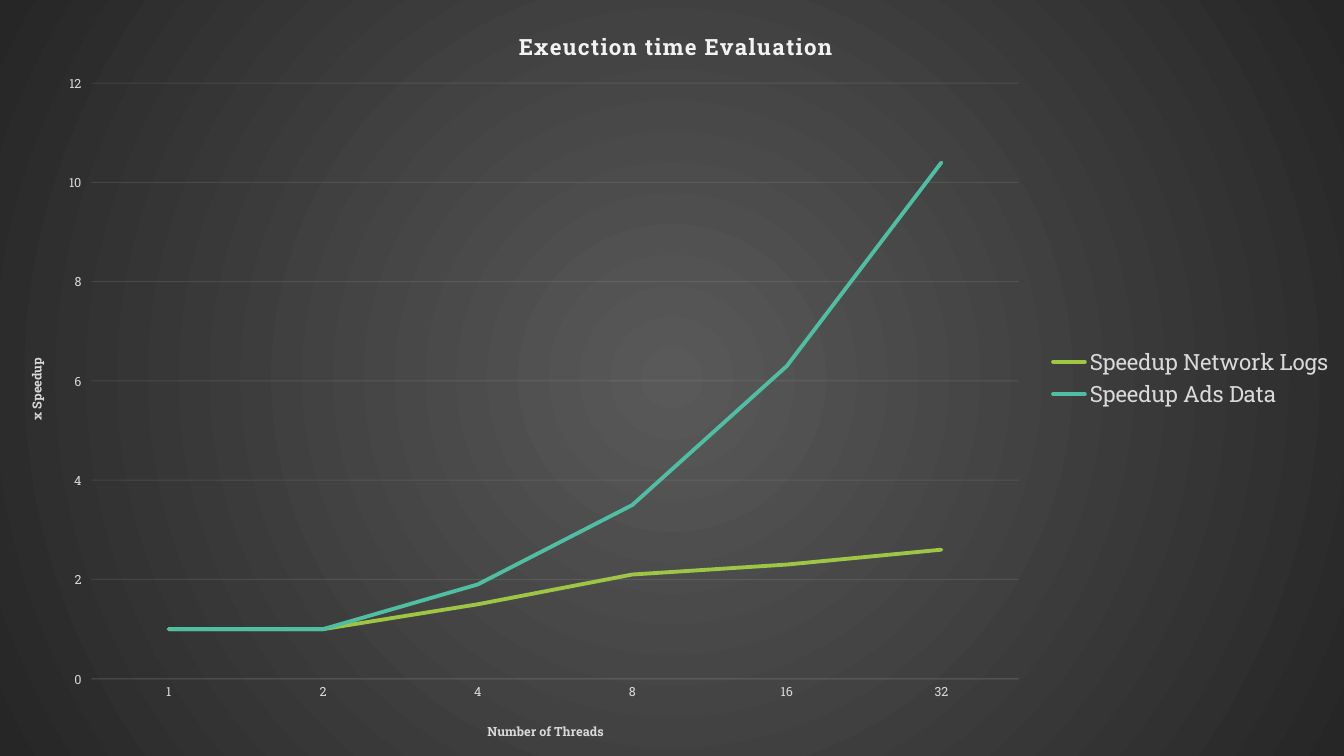
import pptx
import pptx.chart.data
import pptx.dml.color
import pptx.enum.chart
import pptx.oxml
import pptx.oxml.ns
import pptx.util
from pptx.util import Inches

qn = pptx.oxml.ns.qn
rgb = pptx.dml.color.RGBColor.from_string
FONT = "Roboto Slab"
WIDTH, HEIGHT = Inches(13.33), Inches(7.5)


def style_font(font, size, color, bold=False):
    font.name, font.size, font.bold = FONT, pptx.util.Pt(size), bold
    font.color.rgb = rgb(color)


def place(element, **fractions):
    """Fix a chart part at fractions of the chart's width and height."""
    for layout in element.findall(qn("c:layout")):
        element.remove(layout)
    target = '<c:layoutTarget val="inner"/>' if element.tag == qn("c:plotArea") else ""
    modes = '<c:xMode val="edge"/><c:yMode val="edge"/>'
    values = "".join(f'<c:{key} val="{value}"/>' for key, value in fractions.items())
    layout = pptx.oxml.parse_xml(
        f'<c:layout {pptx.oxml.ns.nsdecls("c")}><c:manualLayout>'
        f"{target}{modes}{values}</c:manualLayout></c:layout>")
    overlay = element.find(qn("c:overlay"))
    element.insert(0 if overlay is None else element.index(overlay), layout)


deck = pptx.Presentation()
deck.slide_width, deck.slide_height = WIDTH, HEIGHT
page = deck.slides.add_slide(deck.slide_layouts[6])
page.background.fill.solid()
page.background.fill.fore_color.rgb = rgb("000000")

# Chart data
data = pptx.chart.data.CategoryChartData()
data.categories = ["1", "2", "4", "8", "16", "32"]
data.add_series("Speedup Network Logs", [1, 1, 1.5, 2.1, 2.3, 2.6])
data.add_series("Speedup Ads Data", [1, 1, 1.9, 3.5, 6.3, 10.4])
chart = page.shapes.add_chart(
    pptx.enum.chart.XL_CHART_TYPE.LINE, 0, 0, WIDTH, HEIGHT, data).chart
style_font(chart.font, 10, "FFFFFF")
place(chart.plots[0]._element.getparent(), x=0.068, y=0.11, w=0.69, h=0.788)

# Radial background
chart_space = chart._chartSpace
chart_space.find(qn("c:txPr")).addprevious(pptx.oxml.parse_xml(
    f'<c:spPr {pptx.oxml.ns.nsdecls("c", "a")}><a:gradFill><a:gsLst>'
    '<a:gs pos="0"><a:srgbClr val="595959"/></a:gs>'
    '<a:gs pos="100000"><a:srgbClr val="262626"/></a:gs></a:gsLst>'
    '<a:path path="circle"><a:fillToRect l="50000" t="50000" r="50000" b="50000"/>'
    "</a:path></a:gradFill><a:ln><a:noFill/></a:ln></c:spPr>"))

# Series lines
for series, color in zip(chart.plots[0].series, ["9EC544", "50BEA3"]):
    series.smooth = False
    series.marker.style = pptx.enum.chart.XL_MARKER_STYLE.NONE
    series.format.line.width = pptx.util.Pt(2.75)
    series.format.line.color.rgb = rgb(color)
    series.format.line._ln.set("cap", "rnd")

# Axes
threads, speedup = chart.category_axis, chart.value_axis
speedup.minimum_scale, speedup.maximum_scale, speedup.major_unit = 0, 12, 2
speedup.has_major_gridlines = True
for axis in (threads, speedup):
    axis.major_tick_mark = pptx.enum.chart.XL_TICK_MARK.NONE
    style_font(axis.tick_labels.font, 9, "D9D9D9")
speedup.major_tick_mark = pptx.enum.chart.XL_TICK_MARK.OUTSIDE
speedup.format.line.fill.background()
for line in (threads.format.line, speedup.major_gridlines.format.line):
    line.width = pptx.util.Pt(0.75)
    line.color.rgb = rgb("F2F2F2")
    alpha = line._ln.find(".//" + qn("a:srgbClr")).makeelement(qn("a:alpha"), {"val": "10000"})
    line._ln.find(".//" + qn("a:srgbClr")).append(alpha)

# Titles
chart.has_title = True
for title, text, size, color, x, y in [
    (chart.chart_title, "Exeuction time Evaluation", 16, "F2F2F2", 0.383, 0.034),
    (threads.axis_title, "Number of Threads", 9, "D9D9D9", 0.361, 0.951),
    (speedup.axis_title, "x Speedup", 9, "D9D9D9", 0.018, 0.47),
]:
    title.text_frame.text = text
    style_font(title.text_frame.paragraphs[0].font, size, color, bold=True)
    place(title._element, x=x, y=y)
heading = chart.chart_title._element.find(".//" + qn("a:defRPr"))
heading.set("spc", "100")
speedup.axis_title._element.find(".//" + qn("a:bodyPr")).set("rot", "-5400000")

# Legend
chart.has_legend = True
chart.legend.position = pptx.enum.chart.XL_LEGEND_POSITION.RIGHT
chart.legend.include_in_layout = False
style_font(chart.legend.font, 16, "D9D9D9")
place(chart.legend._element, x=0.778, y=0.455, w=0.216, h=0.09)

deck.save("out.pptx")
